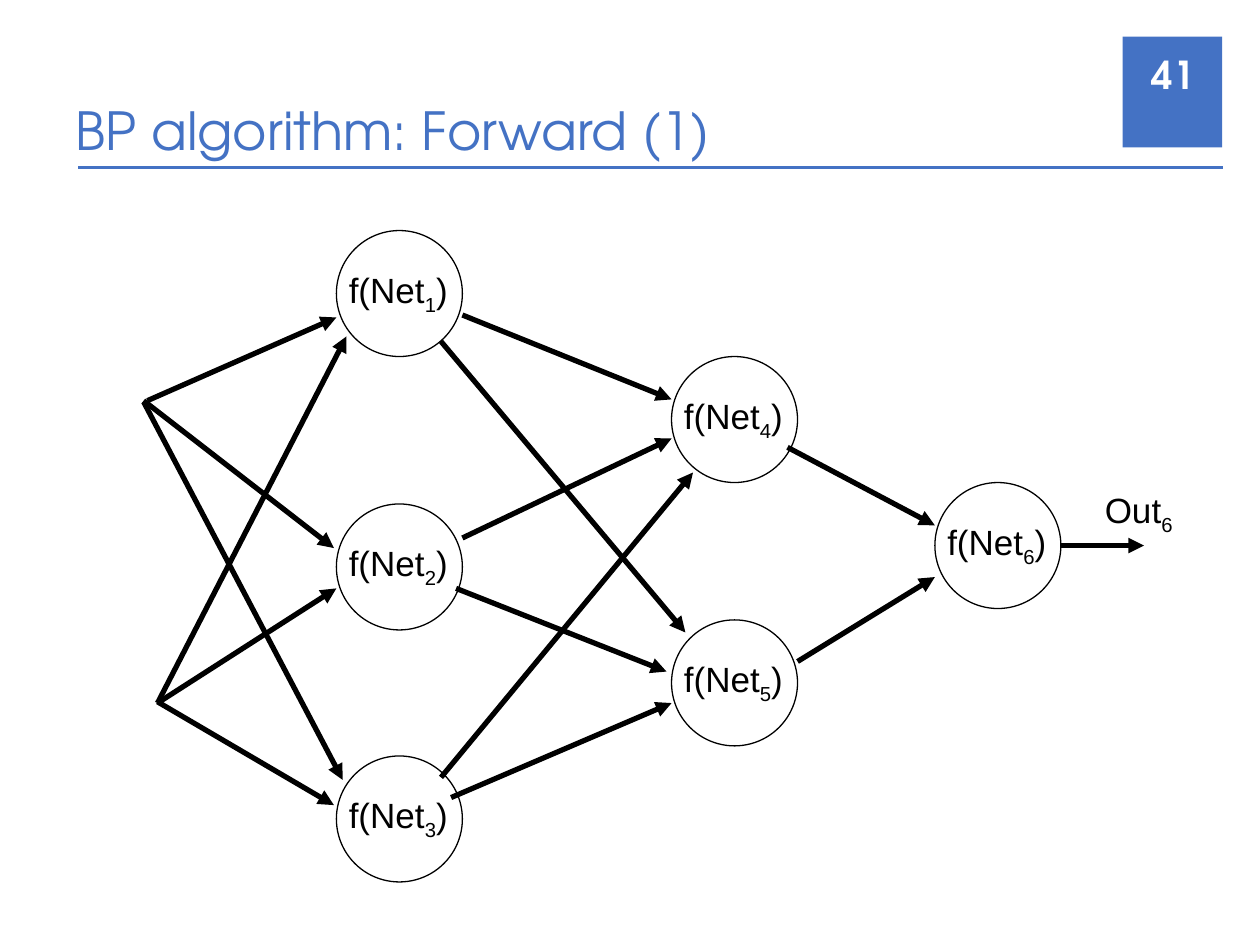
"""Builds the slide on the forward pass of a backpropagation network."""
import pptx
import pptx.dml.color
import pptx.enum.shapes
import pptx.enum.text
import pptx.oxml.ns
import pptx.util
from lxml import etree

COLORS = {"accent": "4472C4", "ink": "000000", "paper": "FFFFFF"}
HEADING_FONT, LABEL_FONT = "TeX Gyre Adventor", "Arial"
WIDTH, HEIGHT = 10, 7.5
DIAMETER = WIDTH / 10
LABEL_HEIGHT = 0.44

TITLE = "BP algorithm: Forward (1)"
PAGE = "41"
LAYERS = [
    (2.67, [("1", 1.83), ("2", 4), ("3", 6)]),
    (5.33, [("4", 2.83), ("5", 4.92)]),
    (7.42, [("6", 3.83)]),
]
SIGNALS = {
    "first input": [
        ((1.17, 3.18), (2.67, 2.52)),
        ((1.14, 3.18), (2.65, 4.35)),
        ((1.14, 3.19), (2.72, 6.19)),
    ],
    "second input": [
        ((1.25, 5.58), (2.75, 2.67)),
        ((1.25, 5.58), (2.67, 4.67)),
        ((1.25, 5.57), (2.65, 6.39)),
    ],
    "neuron 1": [((3.67, 2.5), (5.33, 3.17)), ((3.5, 2.71), (5.44, 5.02))],
    "neuron 2": [((3.67, 4.27), (5.33, 3.48)), ((3.62, 4.67), (5.29, 5.33))],
    "neuron 3": [((3.5, 6.17), (5.5, 3.75)), ((3.58, 6.33), (5.33, 5.58))],
    "neuron 4": [((6.25, 3.55), (7.42, 4.17))],
    "neuron 5": [((6.33, 5.25), (7.42, 4.58))],
    "neuron 6": [((8.42, 4.33), (9.08, 4.33))],
}


def rgb(name):
    return pptx.dml.color.RGBColor.from_string(COLORS[name])


def inches(*lengths):
    return [pptx.util.Inches(length) for length in lengths]


def write(frame, text, subscript="", ending="", size=20, font=LABEL_FONT,
          color="ink", bold=False, align="LEFT", anchor="TOP"):
    frame.word_wrap = True
    frame.auto_size = pptx.enum.text.MSO_AUTO_SIZE.NONE
    frame.vertical_anchor = getattr(pptx.enum.text.MSO_ANCHOR, anchor)
    paragraph = frame.paragraphs[0]
    paragraph.alignment = getattr(pptx.enum.text.PP_ALIGN, align)
    for part, baseline in ((text, 0), (subscript, -25000), (ending, 0)):
        if part:
            run = paragraph.add_run()
            run.text = part
            run.font.size = pptx.util.Pt(size)
            run.font.name = font
            run.font.bold = bold
            run.font.color.rgb = rgb(color)
            if baseline:
                run.font._element.set("baseline", str(baseline))


def add_label(slide, box, text, **style):
    write(slide.shapes.add_textbox(*inches(*box)).text_frame, text, **style)


def add_line(slide, start, end, color="ink", width=3, arrow=True):
    line = slide.shapes.add_connector(
        pptx.enum.shapes.MSO_CONNECTOR.STRAIGHT, *inches(*start, *end))
    line.line.color.rgb = rgb(color)
    line.line.width = pptx.util.Pt(width)
    if arrow:
        etree.SubElement(line.line._get_or_add_ln(),
                         pptx.oxml.ns.qn("a:tailEnd"), type="triangle")
    etree.SubElement(line._element.spPr, pptx.oxml.ns.qn("a:effectLst"))


def add_neuron(slide, left, top, number):
    neuron = slide.shapes.add_shape(
        pptx.enum.shapes.MSO_SHAPE.OVAL, *inches(left, top, DIAMETER, DIAMETER))
    neuron.shadow.inherit = False
    neuron.fill.background()
    neuron.line.color.rgb = rgb("ink")
    neuron.line.width = pptx.util.Pt(0.75)
    add_label(slide, (left, top + DIAMETER / 4, DIAMETER, LABEL_HEIGHT),
              "f(Net", subscript=number, ending=")")


def add_heading(slide):
    badge = slide.shapes.add_shape(
        pptx.enum.shapes.MSO_SHAPE.RECTANGLE, *inches(8.91, 0.29, 0.79, 0.88))
    badge.shadow.inherit = False
    badge.fill.solid()
    badge.fill.fore_color.rgb = rgb("accent")
    badge.line.fill.background()
    title = slide.shapes.title
    title.left, title.top, title.width, title.height = inches(0.5, 0.5, 9.25, 0.83)
    write(title.text_frame, TITLE, size=30, font=HEADING_FONT, color="accent",
          anchor="BOTTOM")
    add_line(slide, (0.62, 1.33), (9.71, 1.33), color="accent", width=2, arrow=False)
    add_label(slide, (9.03, 0.39, 0.55, 0.4), PAGE, size=22, font=HEADING_FONT,
              color="paper", bold=True, align="RIGHT", anchor="MIDDLE")


def main():
    deck = pptx.Presentation()
    deck.slide_width, deck.slide_height = inches(WIDTH, HEIGHT)
    slide = deck.slides.add_slide(deck.slide_layouts[5])
    add_heading(slide)
    for arrows in SIGNALS.values():
        for start, end in arrows:
            add_line(slide, start, end)
    for left, neurons in LAYERS:
        for number, top in neurons:
            add_neuron(slide, left, top, number)
    add_label(slide, (8.67, 3.83, 0.83, LABEL_HEIGHT), "Out", subscript="6")
    deck.save("out.pptx")


if __name__ == "__main__":
    main()
